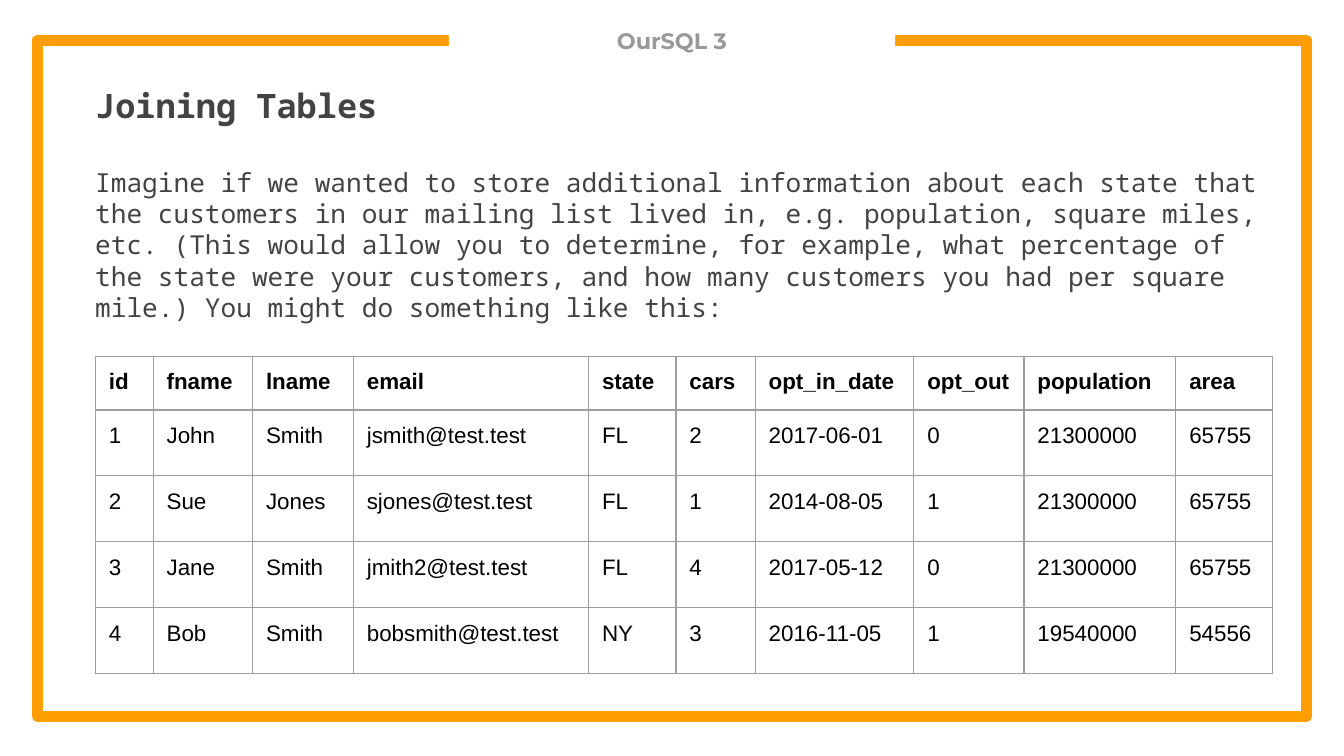
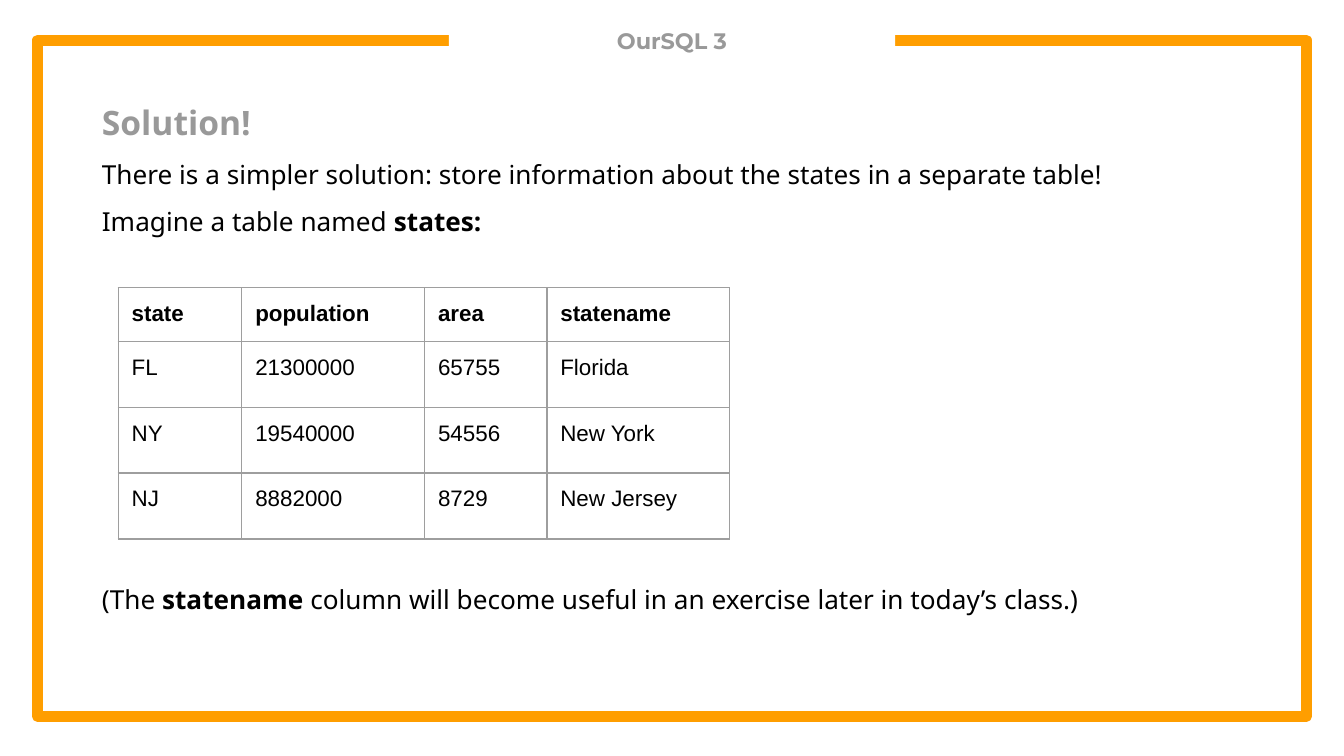
from dataclasses import dataclass
from typing import Any

from lxml.etree import SubElement
from pptx import Presentation
from pptx.dml.color import RGBColor
from pptx.enum.shapes import MSO_SHAPE
from pptx.enum.text import MSO_ANCHOR, PP_ALIGN
from pptx.oxml.ns import qn
from pptx.slide import Slide
from pptx.text.text import TextFrame
from pptx.util import Inches, Pt

ORANGE = RGBColor(0xFF, 0x9E, 0x00)
WHITE = RGBColor(0xFF, 0xFF, 0xFF)
BLACK = RGBColor(0x00, 0x00, 0x00)
CHARCOAL = RGBColor(0x43, 0x43, 0x43)
GREY = RGBColor(0x99, 0x99, 0x99)
RULE_GREY = RGBColor(0x9E, 0x9E, 0x9E)

SLIDE_WIDTH = Inches(10)
SLIDE_HEIGHT = SLIDE_WIDTH * 9 // 16
GRID_COLUMNS = 100
HEADER_ROW = 3.7
RECORD_ROW = 4.9
COURSE = "OurSQL 3"
FRAME_CORNERS = [(34, 3), (2.8, 3), (2.8, 53.3), (97.2, 53.3), (97.2, 3), (66.1, 3)]


@dataclass(frozen=True)
class Style:
    font: str
    size: float
    color: RGBColor
    bold: bool = False


@dataclass(frozen=True)
class Passage:
    pieces: list[tuple[str, bool]]
    style: Style
    layout: dict[str, Any]


@dataclass(frozen=True)
class Area:
    left: float
    top: float
    width: float
    height: float

    def emu(self) -> list[int]:
        return [grid(n) for n in (self.left, self.top, self.width, self.height)]


@dataclass(frozen=True)
class Records:
    left: float
    top: float
    columns: list[float]
    rows: list[list[str]]


@dataclass(frozen=True)
class Lesson:
    area: Area
    passages: list[Passage]
    records: Records


HEADER_AREA = Area(33.4, 1, 33.2, 5.1)
HEADER_STYLE = Style("Montserrat", 12, GREY, True)
CELL_STYLE = Style("Arial", 12, BLACK)
MONO_TITLE = Style("Noto Sans Mono", 18, CHARCOAL, True)
MONO_BODY = Style("Noto Sans Mono", 14, CHARCOAL)
SANS_TITLE = Style("Noto Sans", 18, GREY, True)
SANS_BODY = Style("Noto Sans", 14, BLACK)
TITLE_LAYOUT = {"space_before": Pt(6)}
BODY_LAYOUT = {"space_before": Pt(6), "line_spacing": 1.15}

LESSONS = [
    Lesson(
        Area(6.1, 5.3, 89.3, 33.3),
        [
            Passage([("Joining Tables", True)], MONO_TITLE, TITLE_LAYOUT),
            Passage(
                [(
                    "Imagine if we wanted to store additional information about each state "
                    "that the customers in our mailing list lived in, e.g. population, square "
                    "miles, etc. (This would allow you to determine, for example, what "
                    "percentage of the state were your customers, and how many customers you "
                    "had per square mile.) You might do something like this:",
                    False,
                )],
                MONO_BODY,
                {"space_before": Pt(22)},
            ),
        ],
        Records(
            7.1,
            26.5,
            [4.3, 7.4, 7.5, 17.5, 6.5, 5.9, 11.8, 8.2, 11.3, 7.2],
            [
                ["id", "fname", "lname", "email", "state", "cars", "opt_in_date",
                 "opt_out", "population", "area"],
                ["1", "John", "Smith", "jsmith@test.test", "FL", "2", "2017-06-01",
                 "0", "21300000", "65755"],
                ["2", "Sue", "Jones", "sjones@test.test", "FL", "1", "2014-08-05",
                 "1", "21300000", "65755"],
                ["3", "Jane", "Smith", "jmith2@test.test", "FL", "4", "2017-05-12",
                 "0", "21300000", "65755"],
                ["4", "Bob", "Smith", "bobsmith@test.test", "NY", "3", "2016-11-05",
                 "1", "19540000", "54556"],
            ],
        ),
    ),
    Lesson(
        Area(6.6, 6.6, 87.9, 37),
        [
            Passage([("Solution!", True)], SANS_TITLE, TITLE_LAYOUT),
            Passage(
                [("There is a simpler solution: store information about the states "
                  "in a separate table!", False)],
                SANS_BODY,
                BODY_LAYOUT,
            ),
            Passage(
                [("Imagine a table named ", False), ("states:", True)],
                SANS_BODY,
                BODY_LAYOUT,
            ),
            Passage(
                [("(The ", False), ("statename", True),
                 (" column will become useful in an exercise later in today’s class.)", False)],
                SANS_BODY,
                BODY_LAYOUT | {"space_before": Pt(183)},
            ),
        ],
        Records(
            8.8,
            21.4,
            [9.2, 13.6, 9.1, 13.6],
            [
                ["state", "population", "area", "statename"],
                ["FL", "21300000", "65755", "Florida"],
                ["NY", "19540000", "54556", "New York"],
                ["NJ", "8882000", "8729", "New Jersey"],
            ],
        ),
    ),
]


def grid(units: float) -> int:
    return round(SLIDE_WIDTH * units / GRID_COLUMNS)


INSETS = {f"margin_{side}": grid(1) for side in ("left", "top", "right", "bottom")}


def apply(target: Any, values: dict[str, Any]) -> None:
    for name, value in values.items():
        setattr(target, name, value)


def write(frame: TextFrame, passages: list[Passage]) -> None:
    for index, passage in enumerate(passages):
        paragraph = frame.add_paragraph() if index else frame.paragraphs[0]
        apply(paragraph, passage.layout)
        style = passage.style
        for text, bold in passage.pieces:
            run = paragraph.add_run()
            run.text = text
            apply(run.font, {"name": style.font, "size": Pt(style.size), "bold": bold})
            run.font.color.rgb = style.color


def draw_frame(slide: Slide) -> None:
    start, *corners = [(grid(x), grid(y)) for x, y in FRAME_CORNERS]
    builder = slide.shapes.build_freeform(*start)
    builder.add_line_segments(corners, close=False)
    border = builder.convert_to_shape()
    border.shadow.inherit = False
    border.fill.background()
    border.line.color.rgb = ORANGE
    border.line.width = Pt(6)


def draw_body(slide: Slide, lesson: Lesson) -> None:
    frame = slide.shapes.add_textbox(*lesson.area.emu()).text_frame
    apply(frame, INSETS | {"word_wrap": True, "vertical_anchor": MSO_ANCHOR.TOP})
    write(frame, lesson.passages)


def draw_header(slide: Slide) -> None:
    header = slide.shapes.add_shape(MSO_SHAPE.RECTANGLE, *HEADER_AREA.emu())
    header.shadow.inherit = False
    header.fill.solid()
    header.fill.fore_color.rgb = WHITE
    header.line.fill.background()
    frame = header.text_frame
    apply(frame, INSETS | {"word_wrap": True, "vertical_anchor": MSO_ANCHOR.TOP})
    write(frame, [Passage([(COURSE, True)], HEADER_STYLE, {"alignment": PP_ALIGN.CENTER})])


def rule_cell(cell: Any) -> None:
    properties = cell._tc.get_or_add_tcPr()
    for position, side in enumerate(("lnL", "lnR", "lnT", "lnB")):
        edge = SubElement(properties, qn(f"a:{side}"), w=str(Pt(0.75)))
        fill = SubElement(edge, qn("a:solidFill"))
        SubElement(fill, qn("a:srgbClr"), val=str(RULE_GREY))
        properties.insert(position, edge)


def draw_records(slide: Slide, records: Records) -> None:
    heights = [HEADER_ROW] + [RECORD_ROW] * (len(records.rows) - 1)
    area = Area(records.left, records.top, sum(records.columns), sum(heights))
    table = slide.shapes.add_table(
        len(heights), len(records.columns), *area.emu()
    ).table
    apply(table, {"first_row": False, "horz_banding": False})
    for column, width in zip(table.columns, records.columns):
        column.width = grid(width)
    for row_index, (row, height) in enumerate(zip(table.rows, heights)):
        row.height = grid(height)
        for cell, text in zip(row.cells, records.rows[row_index]):
            apply(cell, INSETS)
            cell.fill.background()
            rule_cell(cell)
            write(cell.text_frame, [Passage([(text, row_index == 0)], CELL_STYLE, {})])


def main() -> None:
    deck = Presentation()
    apply(deck, {"slide_width": SLIDE_WIDTH, "slide_height": SLIDE_HEIGHT})
    for lesson in LESSONS:
        slide = deck.slides.add_slide(deck.slide_layouts[6])
        draw_frame(slide)
        draw_body(slide, lesson)
        draw_header(slide)
        draw_records(slide, lesson.records)
    deck.save("out.pptx")


if __name__ == "__main__":
    main()
